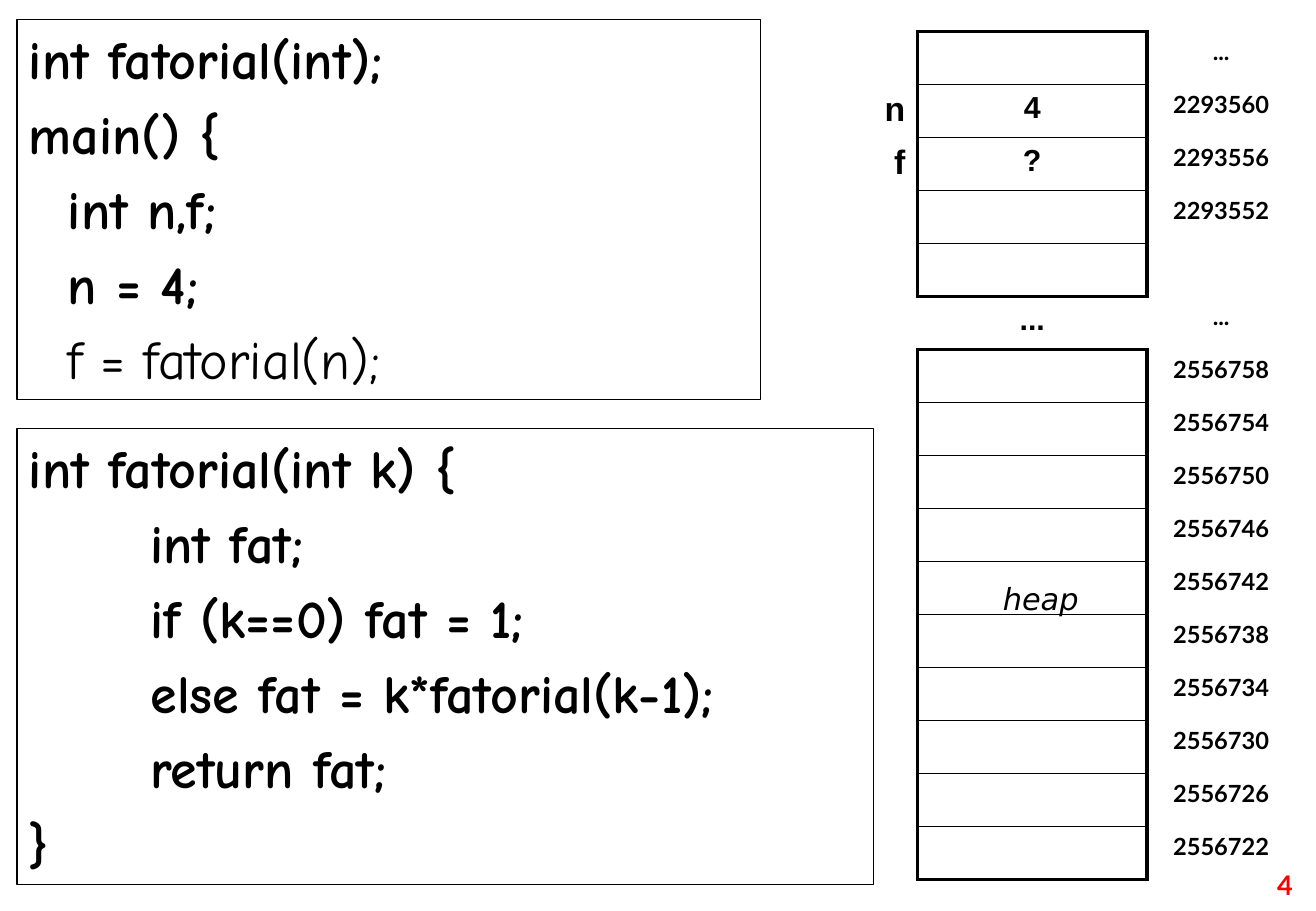
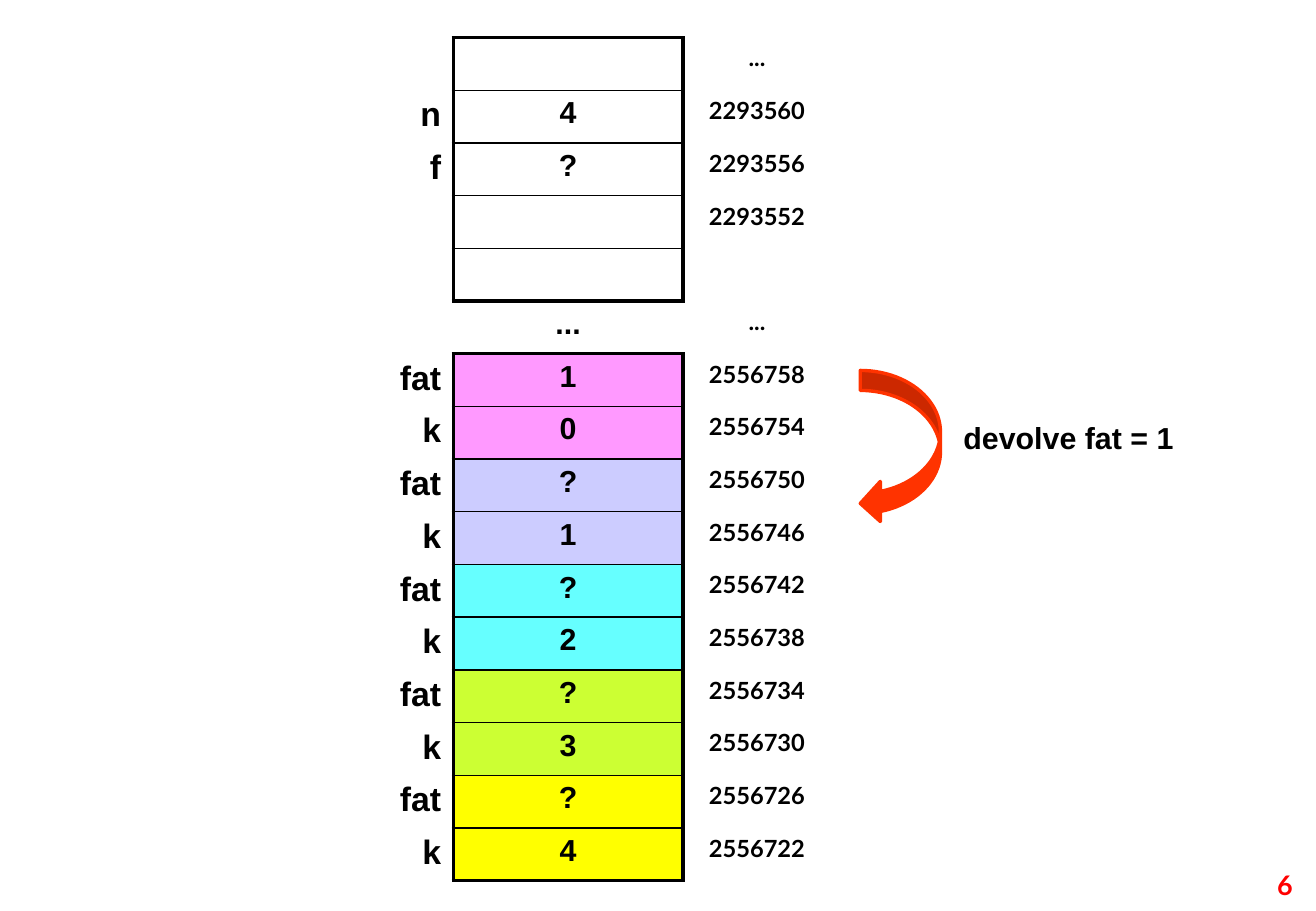
from lxml import etree
from pptx import Presentation
from pptx.dml.color import RGBColor
from pptx.enum import shapes, text
from pptx.oxml import ns
from pptx.util import Inches, Pt

BLACK = RGBColor(0x00, 0x00, 0x00)
RED = RGBColor(0xFF, 0x00, 0x00)
ORANGE = RGBColor(0xFF, 0x33, 0x00)
PINK = RGBColor(0xFF, 0x99, 0xFF)
LILAC = RGBColor(0xCC, 0xCC, 0xFF)
CYAN = RGBColor(0x66, 0xFF, 0xFF)
LIME = RGBColor(0xCC, 0xFF, 0x33)
YELLOW = RGBColor(0xFF, 0xFF, 0x00)

CODE_FONT, LABEL_FONT, NUMBER_FONT, HEAP_FONT = "Comic Neue", "Arial", "Lato", "DejaVu Sans"
LEFT, CENTER, RIGHT = text.PP_ALIGN.LEFT, text.PP_ALIGN.CENTER, text.PP_ALIGN.RIGHT
PLAIN_TABLE = "{2D5ABB26-0587-4C30-8999-92F81FD0307C}"
THICK, THIN = 2.25, 1

COLUMN_WIDTHS = (0.75, 1.89, 1.22)
GAP_ROW = 5
STACK_ADDRESSES = ["...", "2293560", "2293556", "2293552", ""]
CALL_ADDRESSES = [str(address) for address in range(2556758, 2556721, -4)]
ADDRESSES = STACK_ADDRESSES + ["..."] + CALL_ADDRESSES
MAIN_VARIABLES = {1: ("n", "4", None), 2: ("f", "?", None)}
CALLS = [("1", "0", PINK), ("?", "1", LILAC), ("?", "2", CYAN), ("?", "3", LIME), ("?", "4", YELLOW)]

MAIN_CODE = [
    ("int fatorial(int);", 0, True),
    ("main() {", 0, True),
    ("int n,f;", 0.32, True),
    ("n = 4;", 0.32, True),
    ("f = fatorial(n);", 0.32, False),
]
FUNCTION_CODE = [
    ("int fatorial(int k) {", 0, True),
    ("int fat;", 1, True),
    ("if (k==0) fat = 1;", 1, True),
    ("else fat = k*fatorial(k-1);", 1, True),
    ("return fat;", 1, True),
    ("}", 0, True),
]


def write(para, words, *, font, size, color=BLACK, bold=True, italic=False,
          align=LEFT, before=0, indent=0):
    para.alignment = align
    para.space_before = Pt(before)
    if indent:
        para._p.get_or_add_pPr().set("marL", str(Inches(indent)))
    span = para.add_run()
    span.text = words
    span.font.name = font
    span.font.size = Pt(size)
    span.font.bold = bold
    span.font.italic = italic
    span.font.color.rgb = color


def add_label(page, words, left, top, width, height, wrap=True, **style):
    box = page.shapes.add_textbox(Inches(left), Inches(top), Inches(width), Inches(height))
    box.text_frame.word_wrap = wrap
    write(box.text_frame.paragraphs[0], words, **style)


def add_preset(page, kind, left, top, width, height, line, weight, fill=None):
    shape = page.shapes.add_shape(kind, Inches(left), Inches(top), Inches(width), Inches(height))
    shape.shadow.inherit = False
    if fill is None:
        shape.fill.background()
    else:
        shape.fill.solid()
        shape.fill.fore_color.rgb = fill
    shape.line.color.rgb = line
    shape.line.width = Pt(weight)
    return shape


def add_code(page, lines, left, top, width, height):
    box = add_preset(page, shapes.MSO_SHAPE.RECTANGLE, left, top, width, height, BLACK, 0.75)
    frame = box.text_frame
    frame.word_wrap = True
    frame.vertical_anchor = text.MSO_ANCHOR.TOP
    for index, (words, indent, bold) in enumerate(lines):
        para = frame.add_paragraph() if index else frame.paragraphs[0]
        write(para, words, font=CODE_FONT, size=32, bold=bold, before=6, indent=indent)


def set_borders(cell, **weights):
    properties = cell._tc.get_or_add_tcPr()
    for side in "LRTB":
        if side in weights:
            line = etree.SubElement(properties, ns.qn(f"a:ln{side}"), w=str(Pt(weights[side])))
            fill = etree.SubElement(line, ns.qn("a:solidFill"))
            etree.SubElement(fill, ns.qn("a:srgbClr"), val=str(BLACK))


def border_row(cells, row, last):
    if row == GAP_ROW:
        set_borders(cells[1], T=THICK, B=THICK)
        return
    top = THICK if row in (0, GAP_ROW + 1) else THIN
    bottom = THICK if row in (GAP_ROW - 1, last) else THIN
    set_borders(cells[0], R=THICK)
    set_borders(cells[1], L=THICK, R=THICK, T=top, B=bottom)
    set_borders(cells[2], L=THICK)


def add_memory(page, left, top, height, variables):
    count = len(ADDRESSES)
    table = page.shapes.add_table(count, 3, Inches(left), Inches(top),
                                  Inches(sum(COLUMN_WIDTHS)), Inches(height)).table
    table.first_row = table.horz_banding = False
    table._tbl.tblPr.find(ns.qn("a:tableStyleId")).text = PLAIN_TABLE
    for column, width in zip(table.columns, COLUMN_WIDTHS):
        column.width = Inches(width)
    styles = (
        dict(font=LABEL_FONT, size=20, align=RIGHT),
        dict(font=LABEL_FONT, size=18, align=CENTER),
        dict(font=NUMBER_FONT, size=14, align=CENTER),
    )
    contents = {GAP_ROW: ("", "...", None), **variables}
    for row, address in enumerate(ADDRESSES):
        name, value, color = contents.get(row, ("", "", None))
        cells = [table.cell(row, column) for column in range(3)]
        border_row(cells, row, count - 1)
        for cell, words, style in zip(cells, (name, value, address), styles):
            cell.fill.background()
            if words:
                write(cell.text_frame.paragraphs[0], words, **style)
        if color is not None:
            cells[1].fill.solid()
            cells[1].fill.fore_color.rgb = color


def call_variables():
    variables = dict(MAIN_VARIABLES)
    for index, (fat, k, color) in enumerate(CALLS):
        row = GAP_ROW + 1 + 2 * index
        variables[row] = ("fat", fat, color)
        variables[row + 1] = ("k", k, color)
    return variables


def add_page(deck, number):
    page = deck.slides.add_slide(deck.slide_layouts[6])
    add_label(page, number, 10.32, 7.1, 0.51, 0.37,
              font=NUMBER_FONT, size=16, color=RED, align=CENTER)
    return page


def build_code_page(deck):
    page = add_page(deck, "4")
    add_memory(page, 6.8, 0.26, 6.98, MAIN_VARIABLES)
    add_code(page, MAIN_CODE, 0.14, 0.16, 6.12, 3.13)
    add_code(page, FUNCTION_CODE, 0.14, 3.53, 7.05, 3.75)
    add_label(page, "heap", 8.06, 4.73, 1.01, 0.68, wrap=False,
              font=HEAP_FONT, size=18, bold=False, italic=True, align=CENTER)


def build_return_page(deck):
    page = add_page(deck, "6")
    add_memory(page, 2.98, 0.31, 6.94, call_variables())
    add_preset(page, shapes.MSO_SHAPE.CURVED_LEFT_ARROW, 7.08, 3.05, 0.66, 1.26,
               ORANGE, 2, fill=ORANGE)
    add_label(page, "devolve fat = 1", 7.83, 3.4, 1.95, 0.4, wrap=False,
              font=LABEL_FONT, size=18)


def main():
    deck = Presentation()
    deck.slide_width = Inches(10.83)
    deck.slide_height = Inches(7.5)
    build_code_page(deck)
    build_return_page(deck)
    deck.save("out.pptx")


main()
